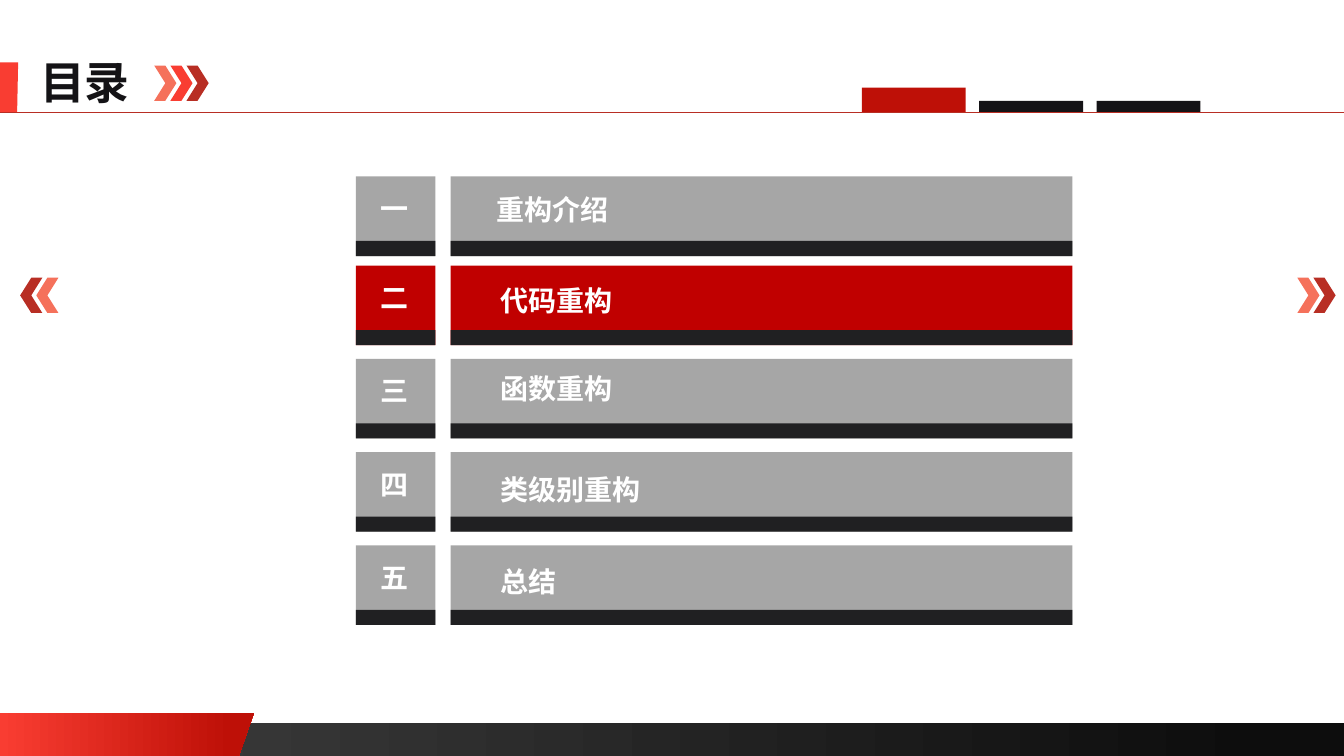
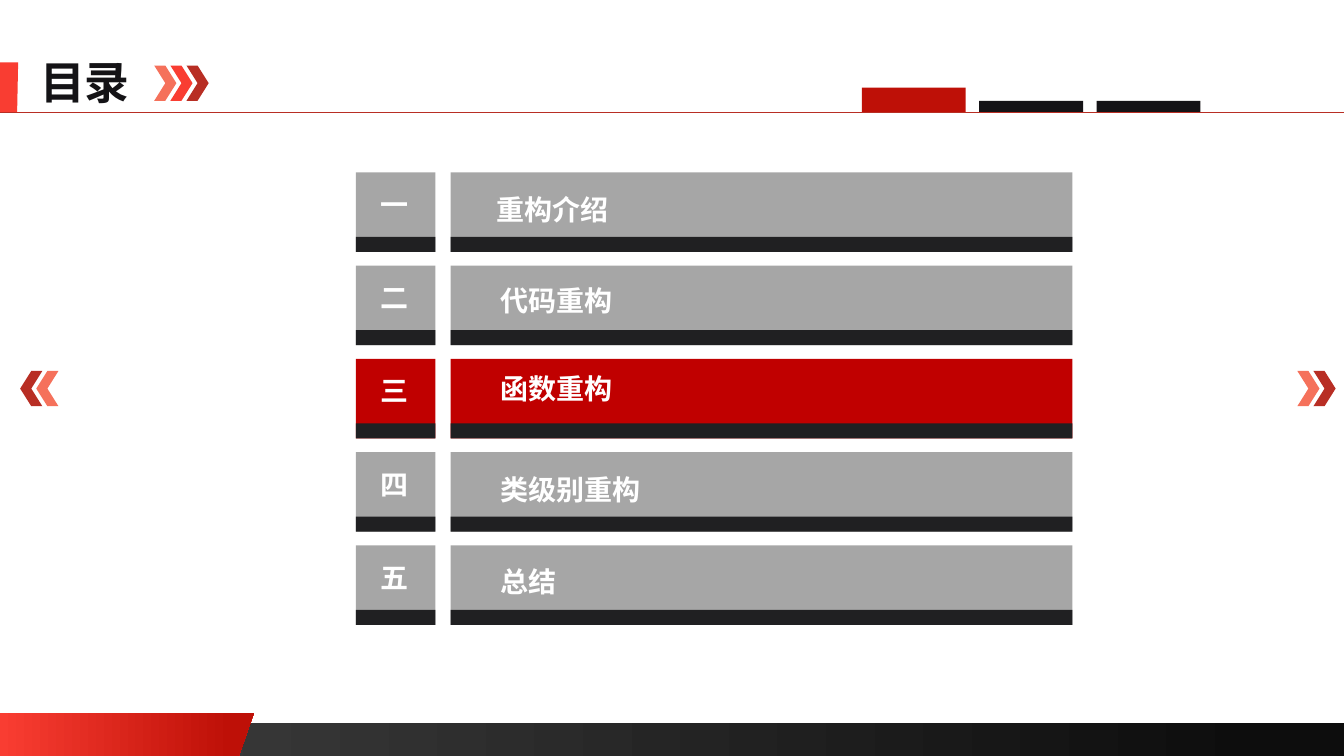
import pptx
import pptx.dml.color
import pptx.enum.shapes
import pptx.enum.text
import pptx.oxml.ns
import pptx.util
from lxml import etree

SHAPE = pptx.enum.shapes.MSO_SHAPE
ALIGN = pptx.enum.text.PP_ALIGN
COLS, ROWS = 133.33, 75
FONT = "Noto Sans CJK SC"
INK, STRIP, WHITE = "141316", "202022", "FFFFFF"
CORAL, RED, BRICK, CRIMSON = "F5715B", "F93D32", "B82E24", "BE1007"
ACTIVE, IDLE = "C00000", "A6A6A6"

ROW_PITCH, ROW_HEIGHT, STRIP_HEIGHT = 9.25, 7.9, 1.5
ROW_TOP = 17.1
ROW_COLUMNS = [(35.3, 7.9), (44.7, 61.7)]
CHEVRON_PITCH = 1.6
AGENDA = [
    ("一", "重构介绍", 48.2, 18.6),
    ("二", "代码重构", 48.6, 27.6),
    ("三", "函数重构", 48.6, 36.4),
    ("四", "类级别重构", 48.6, 46.4),
    ("五", "总结", 48.6, 55.5),
]


def grid(units):
    return pptx.util.Inches(units / 10)


def rgb(hex_color):
    return pptx.dml.color.RGBColor.from_string(hex_color)


class Deck:
    def __init__(self):
        self.prs = pptx.Presentation()
        self.prs.slide_width = grid(COLS)
        self.prs.slide_height = grid(ROWS)
        self.shapes = None

    def new_slide(self):
        self.shapes = self.prs.slides.add_slide(self.prs.slide_layouts[6]).shapes

    def paint(self, sp, color, end_color=None, end=1):
        sp.shadow.inherit = False
        sp.line.fill.background()
        if end_color is None:
            sp.fill.solid()
            sp.fill.fore_color.rgb = rgb(color)
            return sp
        sp.fill.gradient()
        sp.fill.gradient_angle = 0
        stops = [(color, 0), (end_color, end)]
        for stop, (stop_color, position) in zip(sp.fill.gradient_stops, stops):
            stop.color.rgb = rgb(stop_color)
            stop.position = position
        return sp

    def shape(self, x, y, w, h, *colors, kind=SHAPE.RECTANGLE):
        sp = self.shapes.add_shape(kind, grid(x), grid(y), grid(w), grid(h))
        return self.paint(sp, *colors)

    def polygon(self, points, *colors):
        start, *rest = [(grid(x), grid(y)) for x, y in points]
        builder = self.shapes.build_freeform(*start)
        builder.add_line_segments(rest, close=True)
        return self.paint(builder.convert_to_shape(), *colors)

    def line(self, x1, y1, x2, y2, color, width):
        cxn = self.shapes.add_connector(
            pptx.enum.shapes.MSO_CONNECTOR.STRAIGHT,
            grid(x1), grid(y1), grid(x2), grid(y2))
        cxn.line.color.rgb = rgb(color)
        cxn.line.width = pptx.util.Pt(width)
        etree.SubElement(cxn._element.spPr, pptx.oxml.ns.qn("a:effectLst"))

    def text(self, x, y, w, h, text, size, color, align=ALIGN.CENTER):
        sp = self.shapes.add_textbox(grid(x), grid(y), grid(w), grid(h))
        tf = sp.text_frame
        tf.word_wrap = False
        tf.auto_size = pptx.enum.text.MSO_AUTO_SIZE.SHAPE_TO_FIT_TEXT
        p = tf.paragraphs[0]
        p.text = text
        p.alignment = align
        p.font.size = pptx.util.Pt(size)
        p.font.bold = True
        p.font.color.rgb = rgb(color)
        p.font.name = FONT
        props = p._p.pPr.find(pptx.oxml.ns.qn("a:defRPr"))
        etree.SubElement(props, pptx.oxml.ns.qn("a:ea"), typeface=FONT)
        return sp

    def group(self, members):
        self.shapes.add_group_shape(shapes=members)

    def chevrons(self, x, y, colors, pointing_left=False):
        members = []
        for i, color in enumerate(colors):
            sp = self.shape(x + i * CHEVRON_PITCH, y, 2.2, 3.5, color,
                            kind=SHAPE.CHEVRON)
            sp.rotation = 180 if pointing_left else 0
            members.append(sp)
        self.group(members)

    def frame(self, title):
        self.shape(0, 71.7, COLS, 3.3, "404040", "0D0D0D", 0.94)
        self.polygon([(0, 70.7), (25.2, 70.7), (23.7, ROWS), (0, ROWS)],
                     RED, CRIMSON, 0.91)
        self.polygon([(0, 6.2), (1.8, 6.2), (1.7, 11.2), (0, 11.2)], RED)
        self.text(3, 4.9, 11, 6.4, title, 32, INK, ALIGN.LEFT)
        self.line(0, 11.1, COLS, 11.1, BRICK, 0.5)
        self.chevrons(15.3, 6.5, [CORAL, RED, BRICK])
        for i, (height, color) in enumerate([(2.4, CRIMSON), (1.1, INK), (1.1, INK)]):
            self.shape(85.5 + i * 11.65, 11.1 - height, 10.3, height, color)

    def agenda_row(self, top, numeral, color):
        members = [self.shape(x, top, w, ROW_HEIGHT, color) for x, w in ROW_COLUMNS]
        members += [self.shape(x, top + ROW_HEIGHT - STRIP_HEIGHT, w, STRIP_HEIGHT, STRIP)
                    for x, w in ROW_COLUMNS]
        members.append(self.text(36.7, top + 1, 4.8, 4.4, numeral, 20, WHITE))
        self.group(members)

    def agenda(self, active, first_top=ROW_TOP):
        pointer_top = ROW_TOP + active * ROW_PITCH + 1.2
        self.chevrons(128.7, pointer_top, [CORAL, BRICK])
        self.chevrons(2, pointer_top, [BRICK, CORAL], pointing_left=True)
        for i, (numeral, label, label_left, label_top) in enumerate(AGENDA):
            top = ROW_TOP + i * ROW_PITCH if i else first_top
            self.agenda_row(top, numeral, ACTIVE if i == active else IDLE)
            self.text(label_left, label_top, 2 + 2.8 * len(label), 4.4,
                      label, 20, WHITE)


def main():
    deck = Deck()
    for active, first_top in [(1, 17.5), (2, ROW_TOP)]:
        deck.new_slide()
        deck.frame("目录")
        deck.agenda(active, first_top)
    deck.prs.save("out.pptx")


if __name__ == "__main__":
    main()
